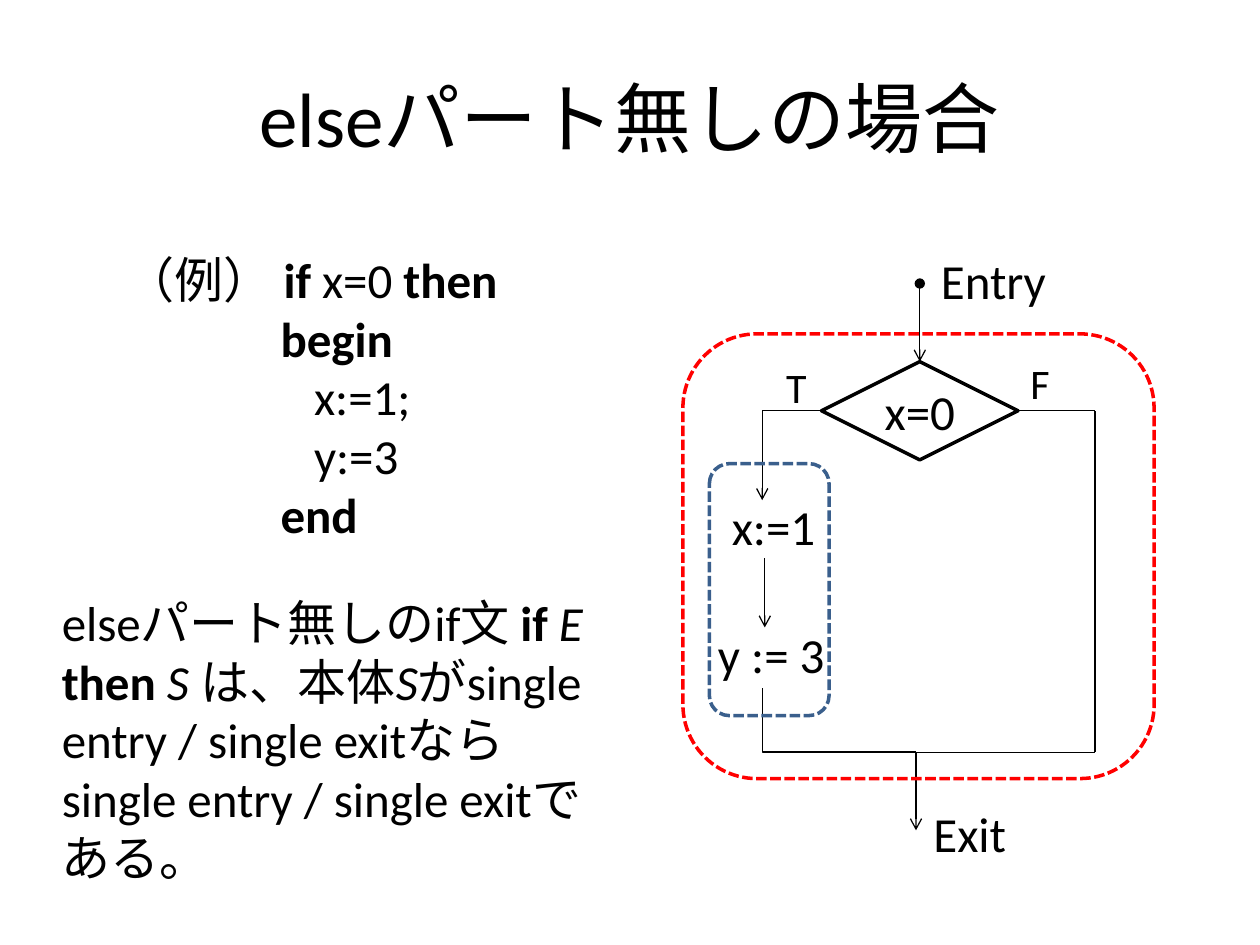
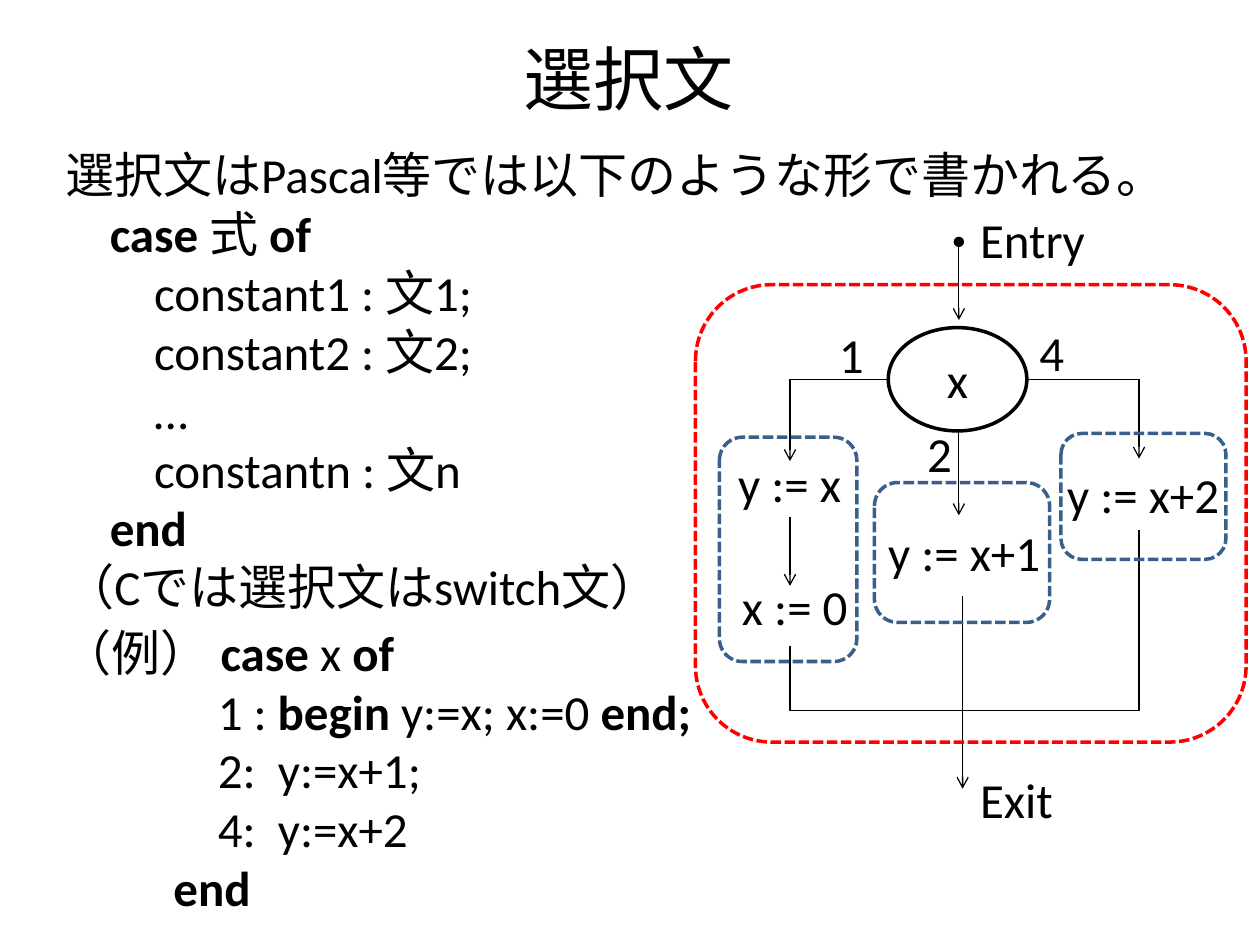
from collections import namedtuple
from lxml.etree import SubElement
from pptx import Presentation
from pptx.dml.color import RGBColor
from pptx.enum.dml import MSO_LINE
from pptx.enum.shapes import MSO_CONNECTOR, MSO_SHAPE
from pptx.enum.text import MSO_ANCHOR, MSO_AUTO_SIZE, PP_ALIGN
from pptx.oxml.ns import qn
from pptx.util import Inches, Pt

COLS, ROWS = 100, 75
WIDE, HIGH = Inches(10), Inches(7.5)
FONT, SIZE = "Calibri", 28
INK, RED, BLUE = "000000", "FF0000", "3A5F8C"

Box = namedtuple("Box", "col row wide high")


def color(code):
    """Turn a hex string into a colour."""
    return RGBColor.from_string(code)


def across(cols):
    """Length of a number of grid columns."""
    return round(cols * WIDE / COLS)


def down(rows):
    """Length of a number of grid rows."""
    return round(rows * HIGH / ROWS)


def spot(box, col, row):
    """Slide position of a grid point inside a box."""
    return across(box.col + col), down(box.row + row)


def inside(box, part):
    """Slide position and size of a part inside a box."""
    return *spot(box, part.col, part.row), across(part.wide), down(part.high)


PAGE = Box(0, 0, COLS, ROWS)


def style(run, size=SIZE):
    """Give a run the deck's font."""
    run.font.name = FONT
    run.font.size = Pt(size)
    run.font.color.rgb = color(INK)


def write(frame, lines, size=SIZE, wrap=True):
    """Fill a frame; runs split at |, * marks bold and / italic."""
    frame.word_wrap = wrap
    frame.auto_size = MSO_AUTO_SIZE.SHAPE_TO_FIT_TEXT
    for i, line in enumerate(lines):
        para = frame.add_paragraph() if i else frame.paragraphs[0]
        for part in line.split("|"):
            run = para.add_run()
            run.text = part.removeprefix("*").removeprefix("/")
            style(run, size)
            run.font.bold = part.startswith("*")
            run.font.italic = part.startswith("/")


def place(shape, part):
    """Move a placeholder to its part of the page."""
    shape.left, shape.top, shape.width, shape.height = inside(PAGE, part)


def head(slide, text, part, size):
    """Set the slide title."""
    title = slide.shapes.title
    place(title, part)
    frame = title.text_frame
    frame.text = text
    frame.vertical_anchor = MSO_ANCHOR.MIDDLE
    frame.paragraphs[0].alignment = PP_ALIGN.CENTER
    style(frame.paragraphs[0].runs[0], size)


def body(slide, lines, part, wrap):
    """Set the body text without bullets."""
    shape = slide.placeholders[1]
    place(shape, part)
    write(shape.text_frame, lines, wrap=wrap)
    for para in shape.text_frame.paragraphs:
        para.space_before = Pt(0)
        props = para._p.get_or_add_pPr()
        props.set("marL", "0")
        props.set("indent", "0")
        SubElement(props, qn("a:buNone"))


def label(slide, box, lines, part, size=SIZE, wrap=False):
    """Add a text box inside a box."""
    shape = slide.shapes.add_textbox(*inside(box, part))
    write(shape.text_frame, lines, size, wrap)


def tag(slide, box, text, col, row, wide, size=SIZE):
    """Add a one-line label inside a box."""
    label(slide, box, [text], Box(col, row, wide, 5.7), size)


def edge(slide, box, start, stop, tip=False, dot=False, bent=False):
    """Draw a line; a bent one runs level first, then upright."""
    kind = MSO_CONNECTOR.ELBOW if bent else MSO_CONNECTOR.STRAIGHT
    link = slide.shapes.add_connector(kind, *spot(box, *start), *spot(box, *stop))
    link.line.color.rgb = color(INK)
    link.line.width = Pt(0.75)
    props = link._element.spPr
    if bent:
        props.find(qn("a:prstGeom")).set("prst", "bentConnector2")
    line = props.find(qn("a:ln"))
    if dot:
        SubElement(line, qn("a:headEnd"), type="oval")
    if tip:
        SubElement(line, qn("a:tailEnd"), type="arrow")
    SubElement(props, qn("a:effectLst"))
    return link


def outline(slide, box, kind, part, code):
    """Add an unfilled shape with a coloured outline."""
    shape = slide.shapes.add_shape(kind, *inside(box, part))
    shape.shadow.inherit = False
    shape.fill.background()
    shape.line.color.rgb = color(code)
    shape.line.width = Pt(2)
    return shape


def node(slide, box, kind, text, part):
    """Add the branching node with its text."""
    shape = outline(slide, box, kind, part, INK)
    frame = shape.text_frame
    frame.text = text
    frame.word_wrap = False
    frame.vertical_anchor = MSO_ANCHOR.MIDDLE
    frame.paragraphs[0].alignment = PP_ALIGN.CENTER
    style(frame.paragraphs[0].runs[0])
    return shape


def frames(slide, box, blocks):
    """Add the dashed frames of the inner blocks and the whole flow."""
    whole = Box(0, 0, box.wide, box.high)
    for part, code in [(block, BLUE) for block in blocks] + [(whole, RED)]:
        shape = outline(slide, box, MSO_SHAPE.ROUNDED_RECTANGLE, part, code)
        shape.line.dash_style = MSO_LINE.SQUARE_DOT


def ports(slide, box, entry, leave, drop):
    """Add the entry and exit arrows with labels; return the entry arrow."""
    col, row = entry
    arrow = edge(slide, box, entry, (col, row + 6.2), tip=True, dot=True)
    tag(slide, box, "Entry", col + 0.7, row - 3.1, 10.6)
    col, row = leave
    edge(slide, box, leave, (col, row + 6.2), tip=True)
    tag(slide, box, "Exit", col + 0.4, row + drop, 7.9)
    return arrow


def if_flow(slide, box):
    """Draw the flow of an if without else."""
    left, right, mid, join = 6.3, 32.7, 6.1, (18.5, 33.2)
    entry = ports(slide, box, (18.8, -4), join, 3.6)
    test = node(slide, box, MSO_SHAPE.DIAMOND, "x=0", Box(11, 2.2, 15.6, 7.8))
    entry.end_connect(test, 0)
    edge(slide, box, (11, mid), (left, 13.2), tip=True, bent=True)
    edge(slide, box, (6.5, 17.8), (6.5, 23.3), tip=True)
    edge(slide, box, join, (left, 28.1), bent=True)
    edge(slide, box, join, (right, join[1]))
    edge(slide, box, (right, join[1]), (right, mid))
    edge(slide, box, (right, mid), (26.6, mid)).end_connect(test, 3)
    tag(slide, box, "T", 7.2, 1.7, 3.7, 24)
    tag(slide, box, "F", 26.6, 1.4, 3.6, 24)
    tag(slide, box, "x:=1", 2.9, 12.4, 8.7)
    tag(slide, box, "y := 3", 1.8, 22.6, 11)
    frames(slide, box, [Box(2.1, 10.3, 9.5, 20)])


def case_flow(slide, box):
    """Draw the flow of a case with three branches."""
    left, right, mid, base = 7.5, 35.2, 7.5, 33.8
    hub, out = 20.9, 21.2
    ports(slide, box, (hub, -3.4), (out, base), 4.2)
    node(slide, box, MSO_SHAPE.OVAL, "x", Box(15.3, 3.4, 11, 8.2))
    for side, start, stop in [(15.3, left, 14), (26.4, right, 13.8)]:
        edge(slide, box, (side, mid), (start, mid))
        edge(slide, box, (start, mid), (start, stop), tip=True)
    edge(slide, box, (hub, 11.6), (hub, 18.3), tip=True)
    edge(slide, box, (left, 18.4), (left, 23.9), tip=True)
    edge(slide, box, (out, base), (left, 28.7), bent=True)
    edge(slide, box, (out, base), (right, 19.5), bent=True)
    edge(slide, box, (out, 24.7), (out, base))
    for text, col, row, wide in [
        ("1", 10.4, 2.7, 4), ("4", 26.3, 2.5, 4), ("2", 17.4, 10.5, 4),
        ("y := x", 2.4, 12.9, 10.3), ("x := 0", 2.7, 22.7, 11.5),
        ("y := x+1", 14.3, 18.4, 14.3), ("y := x+2", 28.5, 13.8, 14.2),
    ]:
        tag(slide, box, text, col, row, wide)
    frames(slide, box, [
        Box(1.9, 12.1, 10.9, 17.8),
        Box(14.2, 15.7, 13.9, 11.1),
        Box(29, 11.8, 13.1, 10),
    ])


def if_slide(deck):
    """Build the slide on if without else."""
    slide = deck.slides.add_slide(deck.slide_layouts[1])
    head(slide, "elseパート無しの場合", Box(5, 3, 90, 12.5), 44)
    body(slide, [
        "elseパート無しのif文 |*if |/E |*then |/S |は、本体|/S|"
        "がsingle entry / single exitならsingle entry / single exitである。",
    ], Box(3.9, 46.5, 44.6, 24.6), True)
    label(slide, PAGE, [
        "（例） |*if| x=0 |*then",
        "              |*begin",
        "                 x:=1;",
        "                 y:=3",
        "              |*end",
    ], Box(9, 19.3, 31.7, 24.6), wrap=True)
    if_flow(slide, Box(54.2, 26.5, 37.4, 35.3))


def case_slide(deck):
    """Build the slide on the case statement."""
    slide = deck.slides.add_slide(deck.slide_layouts[1])
    head(slide, "選択文", Box(4.9, 0.7, 90, 10.9), 40)
    body(slide, [
        "選択文はPascal等では以下のような形で書かれる。",
        "    |*case |式 |*of",
        "        constant1 : 文1;",
        "        constant2 : 文2;",
        "        …",
        "        constantn : 文n",
        "    |*end",
        "（Cでは選択文はswitch文）",
    ], Box(4.2, 11, 87.6, 38.7), False)
    label(slide, PAGE, [
        "（例） |*case| x |*of",
        "              1 : |*begin| y:=x; x:=0 |*end;",
        "              2:  y:=x+1;",
        "              4:  y:=x+2",
        "          |*end",
    ], Box(4, 48.9, 52.5, 24.6))
    case_flow(slide, Box(55.2, 22.6, 43.7, 36.3))


def main():
    """Build and save the deck."""
    deck = Presentation()
    deck.slide_width, deck.slide_height = WIDE, HIGH
    if_slide(deck)
    case_slide(deck)
    deck.save("out.pptx")


if __name__ == "__main__":
    main()
